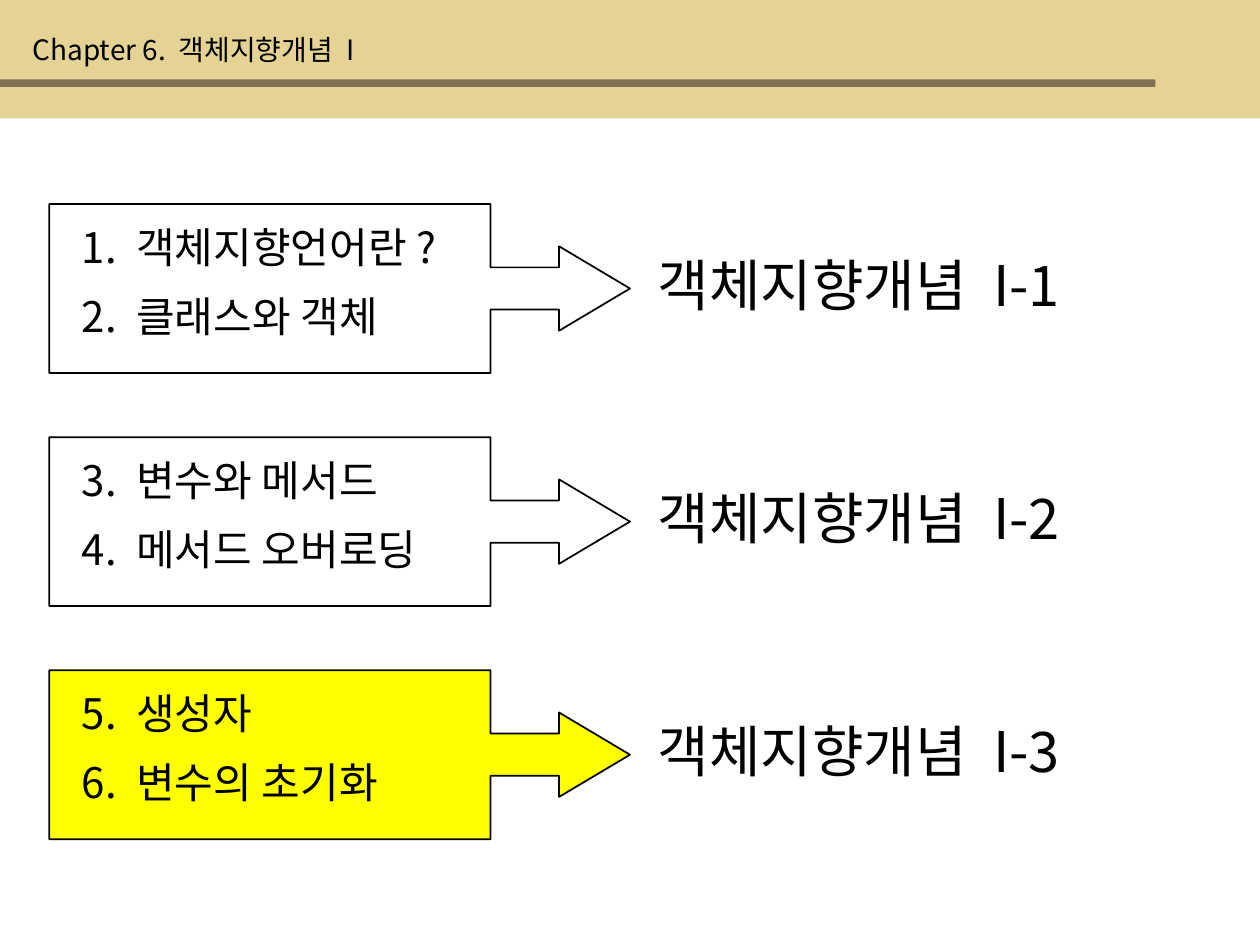
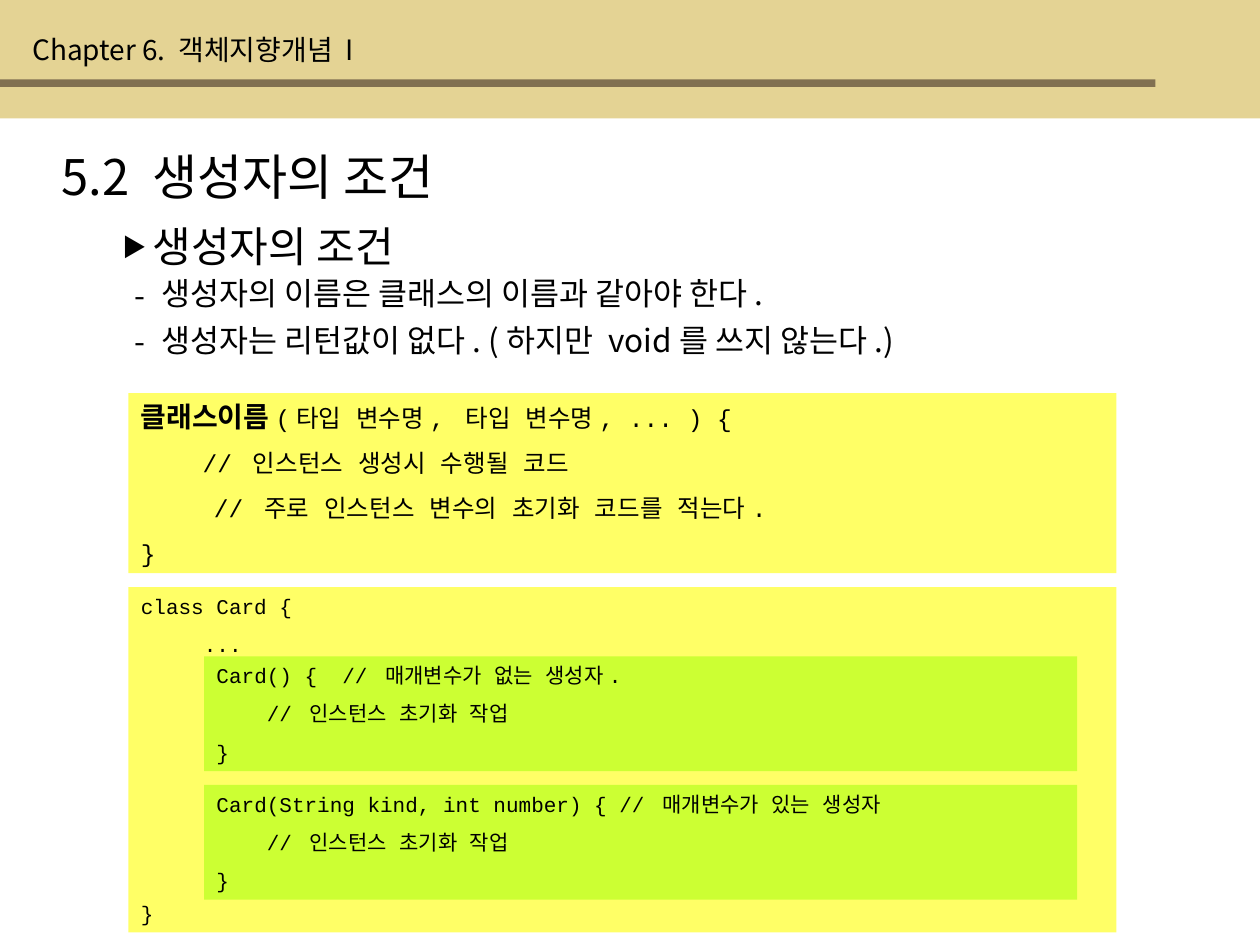
from dataclasses import dataclass

from lxml import etree
from pptx import Presentation
from pptx import util as u
from pptx.dml.color import RGBColor
from pptx.enum import shapes, text
from pptx.oxml.ns import qn

SANS, MONO = "Noto Sans CJK KR", "Courier New"
BLACK, SAND, BROWN = "000000", "E4D394", "817051"
YELLOW, PALE_YELLOW, LIME = "FFFF00", "FFFF66", "CCFF33"
CHAPTER = "Chapter 6. 객체지향개념 I"

TOPICS = [
    (["1. 객체지향언어란?", "2. 클래스와 객체"], "객체지향개념 I-1", None),
    (["3. 변수와 메서드", "4. 메서드 오버로딩"], "객체지향개념 I-2", None),
    (["5. 생성자", "6. 변수의 초기화"], "객체지향개념 I-3", YELLOW),
]
CONSTRUCTORS = [
    "Card() {  // 매개변수가 없는 생성자.",
    "Card(String kind, int number) { // 매개변수가 있는 생성자",
]


@dataclass
class Line:
    """One paragraph; before is in points, indent and hang in inches."""
    text: str
    size: float
    font: str = SANS
    before: float = 0
    indent: float = 0
    hang: float = 0
    bullet: str = ""
    bullet_pct: int = 100
    lead: str = ""


def rgb(color):
    return RGBColor.from_string(color)


def place(sp, box):
    for name, value in zip(("left", "top", "width", "height"), box):
        setattr(sp, name, u.Inches(value))


def add_run(p, words, font, size, bold=False):
    r = p.add_run()
    r.text = words
    for name, value in {"name": font, "size": u.Pt(size), "bold": bold}.items():
        setattr(r.font, name, value)
    r.font.color.rgb = rgb(BLACK)
    etree.SubElement(r._r.get_or_add_rPr(), qn("a:ea"), typeface=font)


def format_paragraph(p, line):
    formats = {"alignment": text.PP_ALIGN.LEFT, "space_before": u.Pt(line.before),
               "space_after": u.Pt(0), "line_spacing": 1.0}
    for name, value in formats.items():
        setattr(p, name, value)
    pPr = p._p.get_or_add_pPr()
    pPr.set("marL", str(u.Inches(line.indent)))
    pPr.set("indent", str(u.Inches(-line.hang)))
    if line.bullet:
        etree.SubElement(pPr, qn("a:buSzPct"), val=str(line.bullet_pct * 1000))
        etree.SubElement(pPr, qn("a:buFont"), typeface=line.font)
        etree.SubElement(pPr, qn("a:buChar"), char=line.bullet)


def write(sp, lines, left=0.1, top=0.05):
    tf = sp.text_frame
    formats = {"word_wrap": True, "auto_size": text.MSO_AUTO_SIZE.NONE,
               "vertical_anchor": text.MSO_ANCHOR.TOP,
               "margin_left": u.Inches(left), "margin_right": u.Inches(0.1),
               "margin_top": u.Inches(top), "margin_bottom": u.Inches(0.05)}
    for name, value in formats.items():
        setattr(tf, name, value)
    for i, line in enumerate(lines):
        p = tf.add_paragraph() if i else tf.paragraphs[0]
        format_paragraph(p, line)
        if line.lead:
            add_run(p, line.lead, line.font, line.size + 2, bold=True)
        add_run(p, line.text, line.font, line.size)


def add_shape(s, kind, box, fill=None, outline=None):
    sp = s.shapes.add_shape(kind, *map(u.Inches, box))
    sp.shadow.inherit = False
    if fill:
        sp.fill.solid()
        sp.fill.fore_color.rgb = rgb(fill)
    else:
        sp.fill.background()
    if outline:
        sp.line.color.rgb = rgb(outline)
        sp.line.width = u.Pt(1)
    else:
        sp.line.fill.background()
    return sp


def add_band(s, box, fill, depth):
    """Put a band behind the placeholders, depth steps from the back."""
    sp = add_shape(s, shapes.MSO_SHAPE.RECTANGLE, box, fill)
    s.shapes._spTree.insert(2 + depth, sp._element)


def add_text(s, box, lines):
    write(s.shapes.add_textbox(*map(u.Inches, box)), lines)


def fill_placeholder(sp, box, lines):
    place(sp, box)
    write(sp, lines)


def add_slide(prs, layout, title="", title_box=None):
    """Add a banded slide; the chapter is its title unless one is given."""
    s = prs.slides.add_slide(prs.slide_layouts.get_by_name(layout))
    add_band(s, (0, 0, 10, 0.94), SAND, 0)
    add_band(s, (0, 0.63, 9.17, 0.06), BROWN, 1)
    chapter_box, chapter = (0.16, 0.21, 4.33, 0.37), [Line(CHAPTER, 16)]
    if title:
        add_text(s, chapter_box, chapter)
        fill_placeholder(s.shapes.title, title_box, [Line(title, 28)])
    else:
        fill_placeholder(s.shapes.title, chapter_box, chapter)
    return s


def add_topic(s, top, items, part, fill):
    sp = add_shape(s, shapes.MSO_SHAPE.RIGHT_ARROW_CALLOUT,
                   (0.39, top, 4.61, 1.34), fill, BLACK)
    for i, value in enumerate((0.25, 0.25, 0.42, 0.76)):
        sp.adjustments[i] = value
    write(sp, [Line(item, 24, before=10.5) for item in items], left=0.26, top=0.14)
    add_text(s, (5.12, top + 0.32, 4.29, 0.64), [Line(part, 32)])


def add_code(s, box, fill, lines):
    write(add_shape(s, shapes.MSO_SHAPE.RECTANGLE, box, fill), lines)


def code(words, size=12, before=7.5, **formats):
    return Line(words, size, MONO, before, **formats)


def build_overview(prs):
    s = add_slide(prs, "Title Only")
    for i, topic in enumerate(TOPICS):
        add_topic(s, 1.62 + 1.85 * i, *topic)


def build_constructor_rules(prs):
    s = add_slide(prs, "Title and Content", "5.2 생성자의 조건",
                  (0.39, 1.11, 9.37, 0.57))
    dash = {"indent": 0.31, "hang": 0.21, "bullet": "-"}
    fill_placeholder(s.placeholders[1], (0.87, 1.7, 8.94, 1.36), [
        Line("생성자의 조건", 24, indent=0.24, hang=0.24, bullet="▶", bullet_pct=58),
        Line("생성자의 이름은 클래스의 이름과 같아야 한다.", 18, before=2, **dash),
        Line("생성자는 리턴값이 없다. (하지만 void를 쓰지 않는다.)", 18, before=5, **dash),
    ])
    add_code(s, (1.02, 3.12, 7.84, 1.43), PALE_YELLOW, [
        code("(타입 변수명, 타입 변수명, ... ) {", 14, 8.8, lead="클래스이름"),
        code("// 인스턴스 생성시 수행될 코드", 14, 8.8, indent=0.49),
        code("// 주로 인스턴스 변수의 초기화 코드를 적는다.", 14, 8.8, indent=0.58),
        code("}", 14, 8.8),
    ])
    add_code(s, (1.02, 4.66, 7.84, 2.74), PALE_YELLOW, [
        code("class Card {"),
        code("...", indent=0.5),
        code("}", before=139),
    ])
    for i, signature in enumerate(CONSTRUCTORS):
        add_code(s, (1.62, 5.21 + 1.02 * i, 6.93, 0.91), LIME, [
            code(signature),
            code("// 인스턴스 초기화 작업", indent=0.4),
            code("}"),
        ])


def main():
    prs = Presentation()
    prs.slide_width, prs.slide_height = u.Inches(10), u.Inches(7.5)
    build_overview(prs)
    build_constructor_rules(prs)
    prs.save("out.pptx")


if __name__ == "__main__":
    main()
